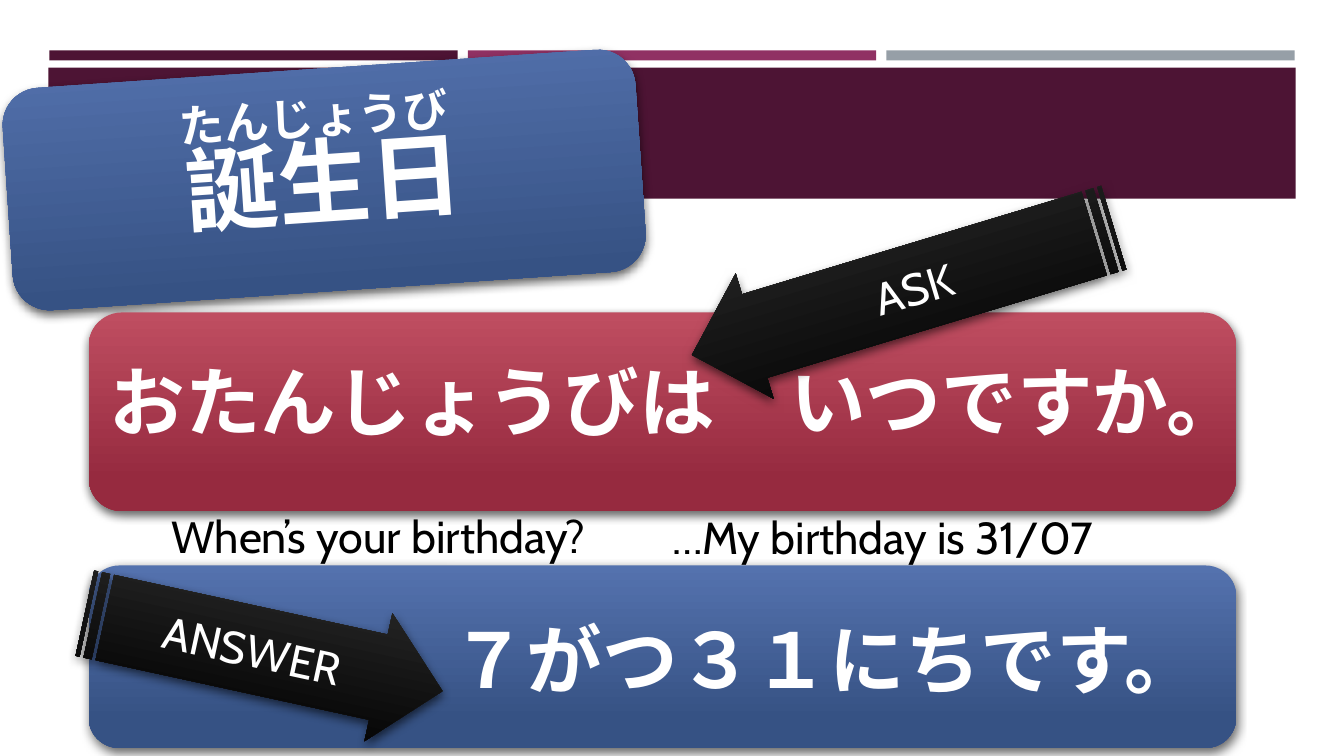
from lxml import etree
from pptx import Presentation
from pptx.dml.color import RGBColor
from pptx.enum.shapes import MSO_SHAPE as Shape
from pptx.enum.text import MSO_ANCHOR as Anchor, MSO_AUTO_SIZE as AutoSize, PP_ALIGN as Align
from pptx.oxml.ns import qn
from pptx.util import Inches, Pt

SLIDE_W, SLIDE_H = 13.33, 7.5
WHITE, BLACK, PLUM = "FFFFFF", "000000", "4D1434"
BLUE = ("5472AE", "365284")
RED = ("BF4E61", "962A3F")
DARK = ("333333", "000000")
TILT = 356.1  # shared by the title card and its reading

# Header: three thin strips above one band
STRIPS = [PLUM, "903163", "969FA7"]
STRIP_LEFT, STRIP_TOP, STRIP_W, STRIP_H, STRIP_GAP = 0.49, 0.5, 4.05, 0.1, 0.1
BAND = (0.48, 0.67, 12.37, 1.3)

# Phrase cards share one column
CARD_LEFT, CARD_W = 0.88, 11.38
QUESTION_CARD = (CARD_LEFT, 3.1, CARD_W, 1.97)
ANSWER_CARD = (CARD_LEFT, 5.61, CARD_W, 1.81)
TITLE_CARD = (0.07, 0.68, 6.29, 2.21)

TITLE = ("誕生日", 66, "Calibri", True)
READING = ("たんじょうび", 32, "Calibri", True)
QUESTION = ("おたんじょうびは\u3000いつですか。", 54, "Calibri", True)
ANSWER = ("７がつ３１にちです。", 54, "Calibri", True)
TRANSLATIONS = [
    ((1.6, 5, 4.52, 0.64), ("When’s your birthday?", 32, "Cabin", False)),
    ((6.57, 5.01, 4.66, 0.64), ("…My birthday is 31/07", 32, "Cabin", False)),
]
# box, rotation, pointing left, label
ARROWS = [
    ((6.77, 2.24, 4.37, 1.3), 343.2, True, ("ASK", 32, "Cabin", False)),
    ((0.8, 5.82, 3.63, 1.3), 12.3, False, ("ANSWER", 32, "Cabin", False)),
]


def rgb(color):
    return RGBColor.from_string(color)


def write(shape, phrase, color, align):
    text, size, face, bold = phrase
    frame = shape.text_frame
    frame.word_wrap = True
    paragraph = frame.paragraphs[0]
    paragraph.text = text
    paragraph.alignment = align
    font = paragraph.font
    font.size, font.name, font.bold = Pt(size), face, bold
    font.color.rgb = rgb(color)


def add_label(slide, box, phrase, color=WHITE, align=Align.LEFT, rotation=0):
    label = slide.shapes.add_textbox(*map(Inches, box))
    label.rotation = rotation
    write(label, phrase, color, align)
    label.text_frame.auto_size = AutoSize.SHAPE_TO_FIT_TEXT


def add_bar(slide, box, color):
    bar = slide.shapes.add_shape(Shape.RECTANGLE, *map(Inches, box))
    bar.shadow.inherit = False
    bar.fill.solid()
    bar.fill.fore_color.rgb = rgb(color)
    bar.line.fill.background()


def cast_shadow(shape):
    """Give the shape a soft black shadow falling just below it."""
    shape.shadow.inherit = False
    effects = shape._element.spPr.find(qn("a:effectLst"))
    shadow = etree.SubElement(effects, qn("a:outerShdw"), blurRad=str(Pt(7)), dist=str(Pt(3)),
                              dir=str(84 * 60000), algn="ctr", rotWithShape="0")
    color = etree.SubElement(shadow, qn("a:srgbClr"), val=BLACK)
    etree.SubElement(color, qn("a:alpha"), val="60000")


def add_raised(slide, kind, box, colors, rotation=0, phrase=None):
    """Add a shape with a top-to-bottom gradient and a shadow."""
    shape = slide.shapes.add_shape(kind, *map(Inches, box))
    shape.rotation = rotation
    shape.line.fill.background()
    shape.fill.gradient()
    shape.fill.gradient_angle = 270
    for stop, color, position in zip(shape.fill.gradient_stops, colors, (0, 0.84)):
        stop.color.rgb = rgb(color)
        stop.position = position
    cast_shadow(shape)
    if phrase:
        write(shape, phrase, WHITE, Align.CENTER)
        shape.text_frame.vertical_anchor = Anchor.MIDDLE
    return shape


def main():
    deck = Presentation()
    deck.slide_width, deck.slide_height = Inches(SLIDE_W), Inches(SLIDE_H)
    slide = deck.slides.add_slide(deck.slide_layouts[6])

    for column, color in enumerate(STRIPS):
        left = STRIP_LEFT + column * (STRIP_W + STRIP_GAP)
        add_bar(slide, (left, STRIP_TOP, STRIP_W, STRIP_H), color)
    add_bar(slide, BAND, PLUM)

    add_raised(slide, Shape.ROUNDED_RECTANGLE, TITLE_CARD, BLUE, TILT, TITLE)
    add_label(slide, (1.68, 0.82, 3.38, 0.64), READING, rotation=TILT)

    add_raised(slide, Shape.ROUNDED_RECTANGLE, QUESTION_CARD, RED)
    for box, phrase in TRANSLATIONS:
        add_label(slide, box, phrase, BLACK)
    add_raised(slide, Shape.ROUNDED_RECTANGLE, ANSWER_CARD, BLUE)
    add_label(slide, (0.99, 3.47, 10.86, 1.01), QUESTION)
    add_label(slide, (1.14, 6.03, 10.86, 1.01), ANSWER, align=Align.RIGHT)

    for box, rotation, points_left, phrase in ARROWS:
        arrow = add_raised(slide, Shape.STRIPED_RIGHT_ARROW, box, DARK, rotation, phrase)
        arrow.adjustments[0] = 0.666
        arrow.adjustments[1] = 0.5
        if points_left:
            arrow._element.spPr.find(qn("a:xfrm")).set("flipH", "1")

    deck.save("out.pptx")


if __name__ == "__main__":
    main()
